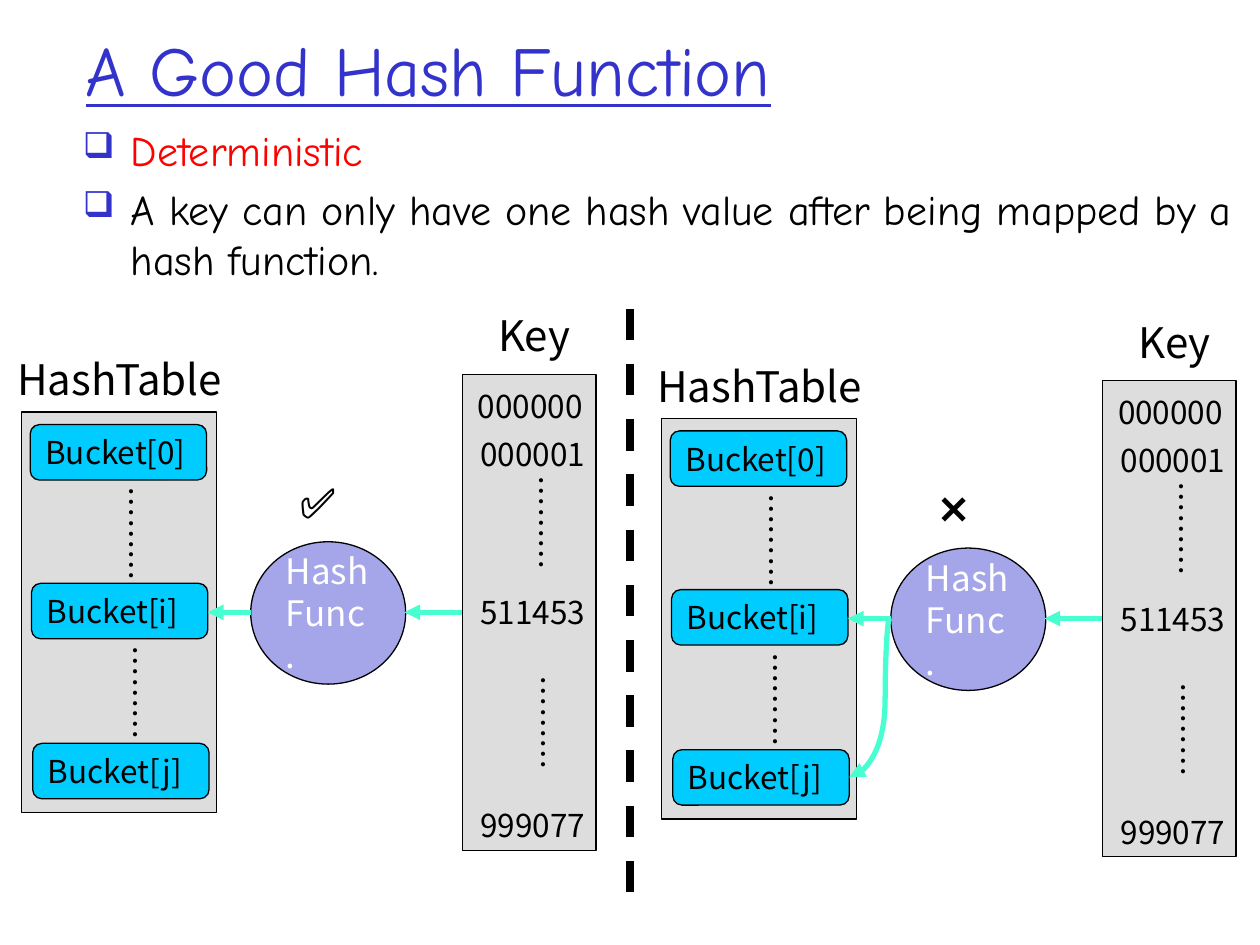
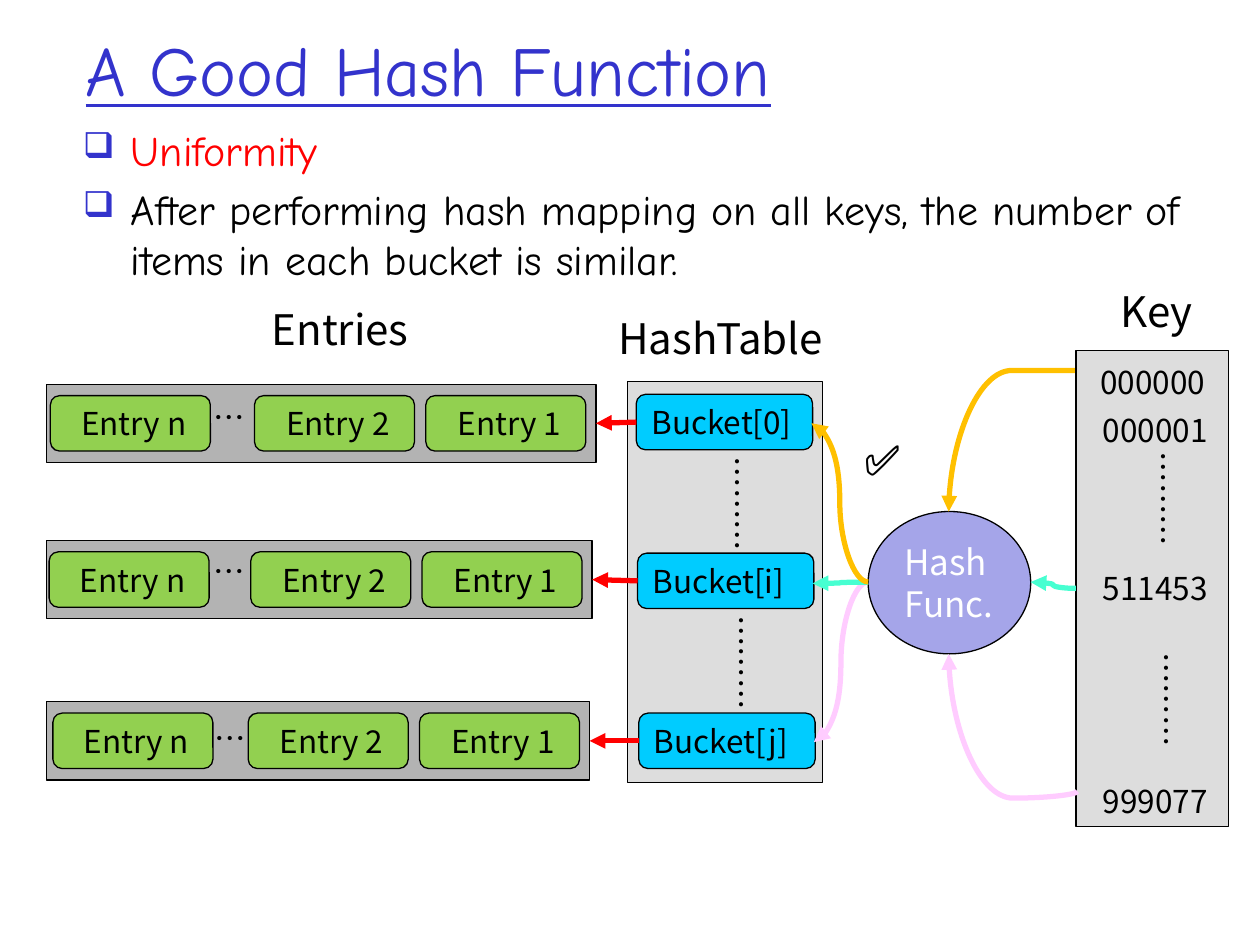
from lxml import etree
from pptx import Presentation
from pptx.dml.color import RGBColor
from pptx.enum.dml import MSO_LINE
from pptx.enum.shapes import MSO_CONNECTOR, MSO_SHAPE
from pptx.enum.text import MSO_ANCHOR, MSO_AUTO_SIZE, PP_ALIGN
from pptx.oxml.ns import qn
from pptx.util import Emu, Pt

RECT, ROUNDED, OVAL = MSO_SHAPE.RECTANGLE, MSO_SHAPE.ROUNDED_RECTANGLE, MSO_SHAPE.OVAL
STRAIGHT, CURVE = MSO_CONNECTOR.STRAIGHT, MSO_CONNECTOR.CURVE
DASH = MSO_LINE.DASH
TOP, MIDDLE = MSO_ANCHOR.TOP, MSO_ANCHOR.MIDDLE
LEFT, CENTER = PP_ALIGN.LEFT, PP_ALIGN.CENTER
NO_FIT, GROW = MSO_AUTO_SIZE.NONE, MSO_AUTO_SIZE.SHAPE_TO_FIT_TEXT

EMU_PER_PX = 9144
HAND, SANS, SERIF = "Comic Neue", "Noto Sans CJK JP", "Times New Roman"
BLACK, WHITE, BLUE, RED = "000000", "FFFFFF", "3333CC", "FF0000"
PANEL, BAR, BUCKET, ENTRY, FUNCTION = "DDDDDD", "B3B3B3", "00CCFF", "92D050", "A5A5E9"
TEAL, AMBER, PINK = "47FFD1", "FFC000", "FFCCFF"
LABEL_WIDTH = 226
BUCKET_WIDTH, ENTRY_WIDTH, BOX_HEIGHT = 140, 127, 44
DOTS = "………"


def px(value):
    return Emu(round(value * EMU_PER_PX))


def rgb(value):
    return RGBColor.from_string(value)


def apply_format(target, values):
    for name, value in values.items():
        setattr(target, name, value)


def add_xml(parent, tag, **attributes):
    return etree.SubElement(parent, qn(tag), attributes)


def write(paragraph, text, size, color=BLACK, font=SANS, align=LEFT, underline=None):
    paragraph.alignment = align
    run = paragraph.add_run()
    run.text = text
    apply_format(run.font, {"size": Pt(size), "name": font, "underline": underline})
    run.font.color.rgb = rgb(color)
    add_xml(run.font._element, "a:ea", typeface=font)


def add_title(slide, text):
    title = slide.shapes.title
    apply_format(title, {"left": px(58), "top": px(25), "width": px(850), "height": px(59)})
    apply_format(title.text_frame, {"vertical_anchor": MIDDLE, "auto_size": NO_FIT, "word_wrap": True})
    write(title.text_frame.paragraphs[0], text, 40, BLUE, HAND, underline=True)


def add_points(slide, height, quality, explanation):
    frame = slide.shapes.add_textbox(px(56), px(94), px(940), px(height)).text_frame
    frame.word_wrap = True
    points = [frame.paragraphs[0], frame.add_paragraph()]
    for point, text, color in zip(points, (quality, explanation), (RED, BLACK)):
        write(point, text, 24, color, HAND)
        point.space_before = Pt(4.8)
        properties = point._p.get_or_add_pPr()
        properties.set("marL", str(px(38)))
        properties.set("indent", str(px(-38)))
        add_xml(add_xml(properties, "a:buClr"), "a:srgbClr", val=BLUE)
        add_xml(properties, "a:buSzPct", val="85000")
        add_xml(properties, "a:buChar", char="❑")


def add_label(slide, x, y, text, size=18, rotation=0, width=LABEL_WIDTH, font=SANS, align=CENTER):
    height = 50 if size == 24 else 40
    label = slide.shapes.add_textbox(px(x), px(y), px(width), px(height))
    label.rotation = rotation
    apply_format(label.text_frame, {"word_wrap": True, "vertical_anchor": TOP, "auto_size": GROW})
    write(label.text_frame.paragraphs[0], text, size, font=font, align=align)


def add_verdict(slide, x, y, mark):
    add_label(slide, x, y, mark, 24, width=64, font=SERIF, align=LEFT)


def add_box(slide, kind, x, y, width, height, fill, text="", **style):
    box = slide.shapes.add_shape(kind, px(x), px(y), px(width), px(height))
    box.shadow.inherit = False
    box.fill.solid()
    box.fill.fore_color.rgb = rgb(fill)
    box.line.color.rgb = rgb(BLACK)
    box.line.width = Pt(0.75)
    if text:
        apply_format(box.text_frame, {"word_wrap": True, "vertical_anchor": MIDDLE})
        write(box.text_frame.paragraphs[0], text, **style)
    return box


def add_line(slide, kind, start, end, color, width=3, arrow=True, dash=None):
    line = slide.shapes.add_connector(kind, *map(px, (*start, *end)))
    line.line.color.rgb = rgb(color)
    apply_format(line.line, {"width": Pt(width), "dash_style": dash})
    properties = line._element.spPr
    if arrow:
        add_xml(properties.find(qn("a:ln")), "a:tailEnd", type="triangle")
    add_xml(properties, "a:effectLst")
    return line


def add_curve(slide, start, end, color, bend=0.5, turn=0):
    dx, dy = end[0] - start[0], end[1] - start[1]
    across, down = {0: (dx, dy), 90: (dy, -dx), 270: (-dy, dx)}[turn]
    center_x, center_y = start[0] + dx / 2, start[1] + dy / 2
    curve = add_line(
        slide, CURVE,
        (center_x - across / 2, center_y - down / 2),
        (center_x + across / 2, center_y + down / 2), color,
    )
    properties = curve._element.spPr
    if turn:
        properties.find(qn("a:xfrm")).set("rot", str(turn * 60000))
    adjustments = properties.find(qn("a:prstGeom")).find(qn("a:avLst"))
    add_xml(adjustments, "a:gd", name="adj1", fmla=f"val {round(bend * 100000)}")


def add_hash_table(slide, x, y, label_x, label_y):
    add_box(slide, RECT, x, y, 155, 318, PANEL)
    add_label(slide, label_x, label_y, "HashTable", 24)
    buckets = []
    for row, index in enumerate("0ij"):
        top = y + 10 + round(126.5 * row)
        buckets.append(add_box(
            slide, ROUNDED, x + 7 + row, top, BUCKET_WIDTH, BOX_HEIGHT, BUCKET, f"Bucket[{index}]", size=18,
        ))
        if row < 2:
            add_label(slide, x - 25 + 3 * row, top + 67, DOTS, rotation=90)
    return buckets


def add_keys(slide, x, y, width):
    add_box(slide, RECT, x, y, width, 378, PANEL)
    label_x = x + (width - LABEL_WIDTH) // 2
    add_label(slide, label_x + 4, y - 56, "Key", 24)
    for shift, drop, key in ((1, 5, "000000"), (3, 43, "000001"), (3, 169, "511453"), (3, 338, "999077")):
        add_label(slide, label_x + shift, y + drop, key)
    for shift, drop in ((10, 98), (12, 257)):
        add_label(slide, label_x + shift, y + drop, DOTS, rotation=90)


def add_hash_function(slide, x, y, width):
    add_box(slide, OVAL, x, y, width, 113, FUNCTION, "Hash Func.", size=20, color=WHITE)


def add_mapping(slide, x, y, mark):
    add_hash_table(slide, x + 17, y + 327, x - 18, y + 276)
    add_keys(slide, x + 367, y + 297, 106)
    add_hash_function(slide, x + 199, y + 430, 123)
    for start, end in ((367, 321), (199, 165)):
        add_curve(slide, (x + start, y + 486), (x + end, y + 486), TEAL)
    add_verdict(slide, x + 228, y + 373, mark)


def add_entries(slide, bucket, y, width, last_x, dots_x, dots_y):
    bar = add_box(slide, RECT, 37, y, width, 62, BAR)
    first_x = 37 + width - 135
    for x, number in ((first_x, "1"), (first_x - 136, "2"), (last_x, "n")):
        add_box(slide, ROUNDED, x, y + 9, ENTRY_WIDTH, BOX_HEIGHT, ENTRY, f" Entry {number}", size=18, align=CENTER)
    add_label(slide, dots_x, dots_y, "…")
    link = add_line(slide, STRAIGHT, (0, 0), (0, 0), RED)
    link.begin_connect(bucket, 1)
    link.end_connect(bar, 3)


def add_slide(deck, *points):
    slide = deck.slides.add_slide(deck.slide_layouts[5])
    add_title(slide, "A Good Hash Function")
    add_points(slide, *points)
    return slide


def build_deterministic(deck):
    slide = add_slide(
        deck, 157, "Deterministic",
        "A key can only have one hash value after being mapped by a hash function.",
    )
    add_mapping(slide, 0, 0, "✅")
    add_line(slide, STRAIGHT, (500, 245), (500, 727), BLACK, 4.5, arrow=False, dash=DASH)
    add_mapping(slide, 508, 5, "❌")
    add_curve(slide, (706, 491), (674, 617), TEAL, 0.11)


def build_uniformity(deck):
    slide = add_slide(
        deck, 94, "Uniformity",
        "After performing hash mapping on all keys, the number of items in each bucket is similar.",
    )
    buckets = add_hash_table(slide, 498, 303, 459, 243)
    add_label(slide, 157, 236, "Entries", 24)
    add_keys(slide, 854, 278, 121)
    add_hash_function(slide, 689, 406, 129)
    rows = ((305, 436, 40, 69, 311), (429, 433, 39, 69, 433), (557, 431, 42, 70, 566))
    for bucket, row in zip(buckets, rows):
        add_entries(slide, bucket, *row)
    add_curve(slide, (853, 294), (753, 406), AMBER, 0, 90)
    add_curve(slide, (855, 628), (753, 519), PINK, -0.05, 270)
    add_curve(slide, (854, 467), (818, 462), TEAL)
    for end, color in (((646, 589), PINK), ((645, 463), TEAL), ((644, 336), AMBER)):
        add_curve(slide, (689, 462), end, color)
    add_verdict(slide, 676, 339, "✅")


def main():
    deck = Presentation()
    apply_format(deck, {"slide_width": px(1000), "slide_height": px(750)})
    build_deterministic(deck)
    build_uniformity(deck)
    deck.save("out.pptx")


if __name__ == "__main__":
    main()
